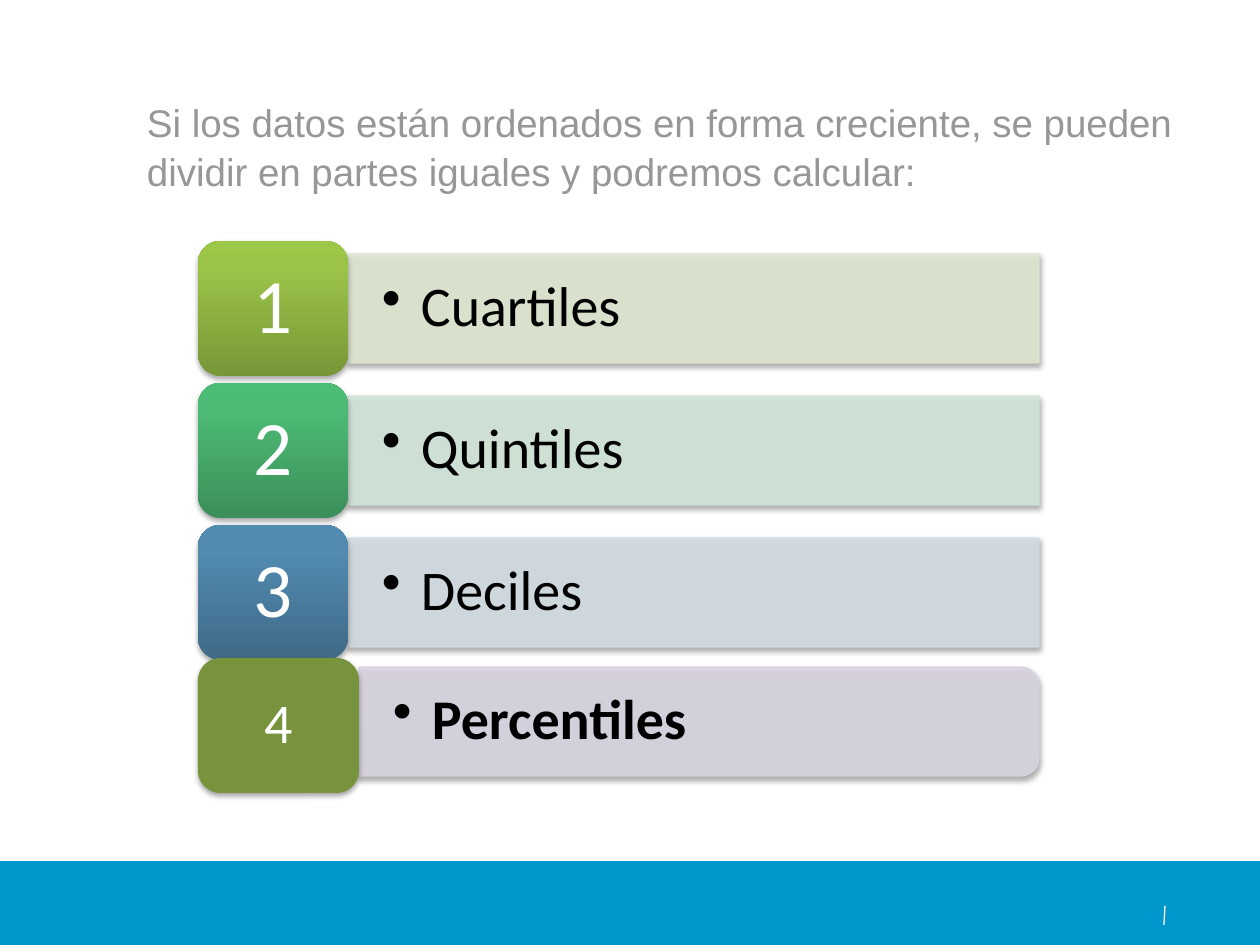
import copy

import pptx
import pptx.util
import pptx.dml.color
import pptx.enum.shapes
import pptx.enum.text
import pptx.oxml
import pptx.oxml.ns

RGB = pptx.dml.color.RGBColor
SHAPE = pptx.enum.shapes.MSO_SHAPE
ALIGN = pptx.enum.text.PP_ALIGN
ANCHOR = pptx.enum.text.MSO_ANCHOR
Pt = pptx.util.Pt
qn = pptx.oxml.ns.qn
NS = pptx.oxml.ns.nsdecls("a")

PX = 914400 / 126
WHITE = RGB(0xFF, 0xFF, 0xFF)
BLACK = RGB(0x00, 0x00, 0x00)
GREY = RGB(0x97, 0x97, 0x97)
BLUE = RGB(0x00, 0x97, 0xCD)
OLIVE = RGB(0x77, 0x93, 0x3C)
GREENS = [RGB(0x77, 0x97, 0x37), RGB(0x9B, 0xC3, 0x48), RGB(0x9D, 0xC7, 0x46)]
TEALS = [RGB(0x3B, 0x8F, 0x5A), RGB(0x4D, 0xBA, 0x75), RGB(0x4B, 0xBD, 0x75)]
BLUES = [RGB(0x3F, 0x6A, 0x88), RGB(0x52, 0x8A, 0xB0), RGB(0x51, 0x8B, 0xB3)]
PALE_GREEN = RGB(0xDE, 0xE7, 0xD1)
PALE_TEAL = RGB(0xD2, 0xE5, 0xD9)
PALE_BLUE = RGB(0xD2, 0xDC, 0xE2)
PALE_PURPLE = RGB(0xD8, 0xD3, 0xE0)


def box(*lengths):
    return [round(n * PX) for n in lengths]


def add_shadow(sp):
    sp.shadow.inherit = False
    sp._element.spPr.find(qn("a:effectLst")).append(pptx.oxml.parse_xml(
        f'<a:outerShdw {NS} blurRad="40000" dist="23000" dir="5400000" rotWithShape="0">'
        '<a:srgbClr val="000000"><a:alpha val="35000"/></a:srgbClr></a:outerShdw>'))


prs = pptx.Presentation()
prs.slide_width, prs.slide_height = box(1260, 945)
s = prs.slides.add_slide(prs.slide_layouts[5])

# Footer band and its small divider
band = s.shapes.add_shape(SHAPE.RECTANGLE, *box(0, 861, 1260, 84))
band.shadow.inherit = False
band.fill.solid()
band.fill.fore_color.rgb = BLUE
band.line.fill.background()
divider = s.shapes.add_connector(pptx.enum.shapes.MSO_CONNECTOR.STRAIGHT,
                                 *box(1164, 925, 1165, 906))
divider.line.color.rgb = WHITE
divider.line.width = Pt(0.75)
divider._element.spPr.append(pptx.oxml.parse_xml(f"<a:effectLst {NS}/>"))

# Title
title = s.shapes.title
title.left, title.top, title.width, title.height = box(147, 96, 1113, 198)
tf = title.text_frame
tf.text = ("Si los datos están ordenados en forma creciente, se pueden "
           "dividir en partes iguales y podremos calcular:")
tf.margin_left = tf.margin_right = tf.margin_top = tf.margin_bottom = 0
tf.vertical_anchor = ANCHOR.TOP
tf.auto_size = pptx.enum.text.MSO_AUTO_SIZE.NONE
p = tf.paragraphs[0]
p.alignment = ALIGN.LEFT
p.line_spacing = 1.06
font = p.runs[0].font
font.name, font.size, font.color.rgb = "Arial", Pt(22), GREY

# Numbered rows: label, tile top, tile width, tile colours, bar colour, number size
rows = [
    ("Cuartiles", 241, 150, GREENS, PALE_GREEN, 44),
    ("Quintiles", 383, 150, TEALS, PALE_TEAL, 44),
    ("Deciles", 525, 150, BLUES, PALE_BLUE, 44),
    ("Percentiles", 658, 161, [OLIVE], PALE_PURPLE, 32),
]
TILE_LEFT, TILE_H, BAR_RIGHT, BAR_H = 198, 135, 1039, 109

for number, (label, top, tile_w, colours, pale, size) in enumerate(rows, 1):
    last = number == len(rows)
    bar_left = TILE_LEFT + tile_w
    bar_w = BAR_RIGHT - bar_left
    bar_top = top + (9 if last else 13)

    # Bar; the last one is turned so that its rounded end points right
    if last:
        shift = (bar_w - BAR_H) / 2
        bar = s.shapes.add_shape(SHAPE.ROUND_2_SAME_RECTANGLE,
                                 *box(bar_left + shift, bar_top - shift, BAR_H, bar_w))
        bar.rotation = 90
        holder = s.shapes.add_textbox(*box(bar_left, bar_top, bar_w, BAR_H))
    else:
        bar = holder = s.shapes.add_shape(SHAPE.RECTANGLE,
                                          *box(bar_left, bar_top, bar_w, BAR_H))
    bar.fill.solid()
    bar.fill.fore_color.rgb = pale
    bar.line.color.rgb = pale
    bar.line.width = Pt(0.75)
    for clr in bar._element.spPr.iter(qn("a:srgbClr")):
        clr.append(pptx.oxml.parse_xml(f'<a:alpha {NS} val="90000"/>'))
    add_shadow(bar)

    # Bulleted label
    tf = holder.text_frame
    tf.text = label
    tf.word_wrap = True
    tf.vertical_anchor = ANCHOR.MIDDLE
    tf.margin_left, tf.margin_right, tf.margin_top, tf.margin_bottom = box(34, 34, 17, 17)
    p = tf.paragraphs[0]
    p.alignment = ALIGN.LEFT
    p.line_spacing = 0.9
    pPr = p._p.get_or_add_pPr()
    indent = round(39 * PX)
    pPr.set("marL", str(indent))
    pPr.set("indent", str(-indent))
    pPr.append(pptx.oxml.parse_xml(f'<a:buChar {NS} char="•"/>'))
    font = p.runs[0].font
    font.name, font.size, font.color.rgb, font.bold = "Calibri", Pt(32), BLACK, last

    # Number tile
    tile = s.shapes.add_shape(SHAPE.ROUNDED_RECTANGLE, *box(TILE_LEFT, top, tile_w, TILE_H))
    if len(colours) == 1:
        tile.fill.solid()
        tile.fill.fore_color.rgb = colours[0]
    else:
        tile.fill.gradient()
        tile.fill.gradient_angle = 90
        gs_list = tile._element.spPr.find(".//" + qn("a:gsLst"))
        gs_list.append(copy.deepcopy(gs_list[-1]))
        for stop, position, colour in zip(tile.fill.gradient_stops, (0, 0.8, 1), colours):
            stop.position = position
            stop.color.rgb = colour
    tile.line.fill.background()
    add_shadow(tile)
    tf = tile.text_frame
    tf.text = str(number)
    tf.vertical_anchor = ANCHOR.MIDDLE
    p = tf.paragraphs[0]
    p.alignment = ALIGN.CENTER
    p.line_spacing = 0.9
    font = p.runs[0].font
    font.name, font.size, font.color.rgb = "Calibri", Pt(size), WHITE

prs.save("out.pptx")
